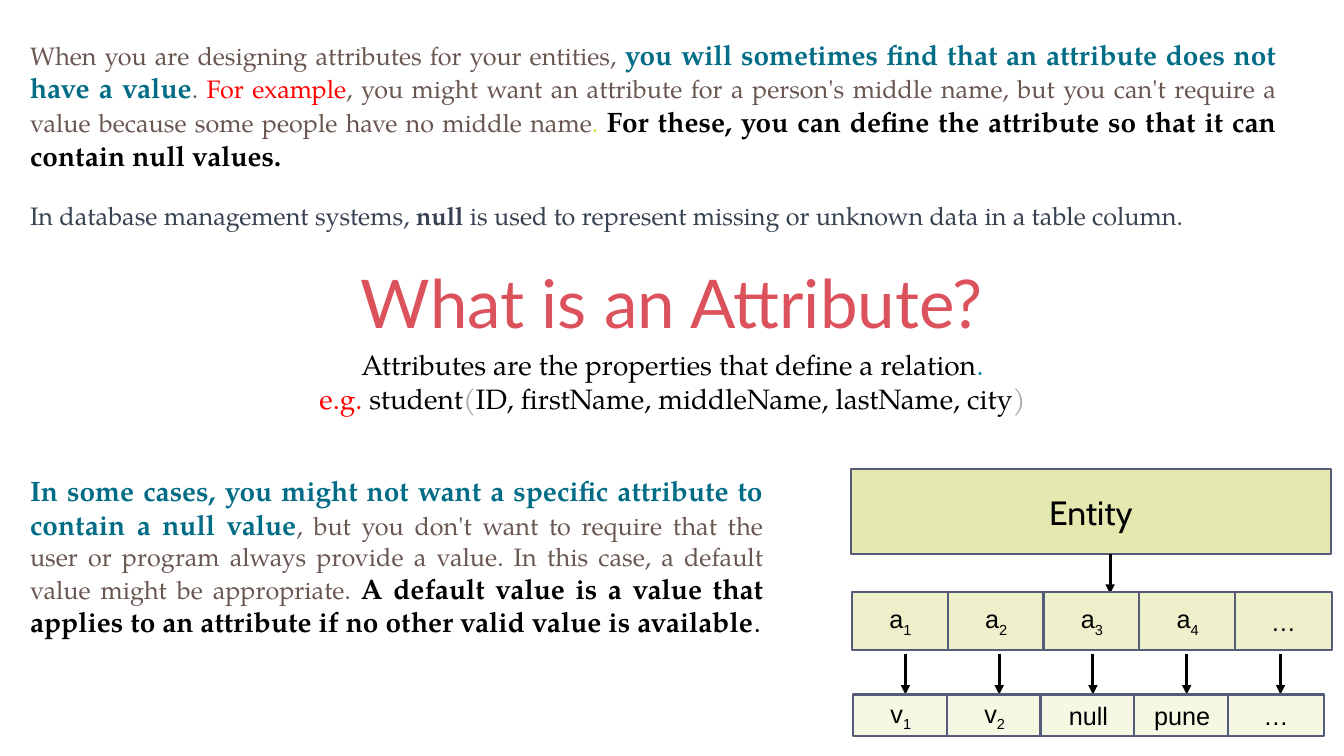
from lxml import etree
from pptx import Presentation
from pptx.dml.color import RGBColor
from pptx.enum.shapes import MSO_CONNECTOR, MSO_SHAPE
from pptx.enum.text import MSO_ANCHOR, MSO_AUTO_SIZE, PP_ALIGN
from pptx.oxml.ns import qn
from pptx.util import Inches, Pt

SERIF = "TeX Gyre Pagella"
BLACK, RED, TEAL, BROWN, SLATE = "000000", "FF0000", "006C86", "6A5650", "374151"
GRAY, OUTLINE = "A6A6A6", "545C79"


def rgb(color):
    return RGBColor.from_string(color)


def add_run(p, text, size, color, font=SERIF, bold=False, italic=False, subscript=False):
    r = p.add_run()
    r.text = text
    f = r.font
    f.name, f.size, f.bold, f.italic = font, Pt(size), bold, italic
    f.color.rgb = rgb(color)
    if subscript:
        r._r.get_or_add_rPr().set("baseline", "-25000")


def add_title(s, box):
    title = s.shapes.title
    title.left, title.top, title.width, title.height = map(Inches, box)
    tf = title.text_frame
    tf.auto_size = MSO_AUTO_SIZE.NONE
    tf.vertical_anchor = MSO_ANCHOR.MIDDLE
    p = tf.paragraphs[0]
    p.alignment = PP_ALIGN.CENTER
    add_run(p, "What is an Attribute?", 48, "DC525C", "Lato")


def add_text(s, box, align, paragraphs):
    """Add a text box; each paragraph is a list of (text, size, color[, style])."""
    tf = s.shapes.add_textbox(*map(Inches, box)).text_frame
    tf.word_wrap = True
    tf.auto_size = MSO_AUTO_SIZE.SHAPE_TO_FIT_TEXT
    for i, runs in enumerate(paragraphs):
        p = tf.add_paragraph() if i else tf.paragraphs[0]
        p.alignment = align
        for text, size, color, *style in runs:
            add_run(p, text, size, color, bold="bold" in style, italic="italic" in style)


def add_cell(shapes, box, fill, label, index="", size=18, font="Arial"):
    sp = shapes.add_shape(MSO_SHAPE.RECTANGLE, *map(Inches, box))
    sp.shadow.inherit = False
    sp.fill.solid()
    sp.fill.fore_color.rgb = rgb(fill)
    sp.line.color.rgb = rgb(OUTLINE)
    sp.line.width = Pt(1.5)
    tf = sp.text_frame
    tf.vertical_anchor = MSO_ANCHOR.MIDDLE
    p = tf.paragraphs[0]
    p.alignment = PP_ALIGN.CENTER
    add_run(p, label, size, BLACK, font)
    if index:
        add_run(p, index, size, BLACK, font, subscript=True)


def add_arrow(shapes, x, top, bottom):
    line = shapes.add_connector(MSO_CONNECTOR.STRAIGHT, *map(Inches, (x, top, x, bottom)))
    line.line.color.rgb = rgb(BLACK)
    line.line.width = Pt(2.25)
    etree.SubElement(line.line._get_or_add_ln(), qn("a:tailEnd"), type="triangle")
    etree.SubElement(line._element.spPr, qn("a:effectLst"))


def add_diagram(s, box):
    """Entity on top, its attributes below, and one value under each attribute."""
    left, top, width, height = box
    shapes = s.shapes.add_group_shape().shapes
    attributes = [("a", "1"), ("a", "2"), ("a", "3"), ("a", "4"), ("…", "")]
    values = [("v", "1"), ("v", "2"), ("null", ""), ("pune", ""), ("…", "")]
    attribute_top, value_top = top + 1.22, top + height - 0.41

    add_cell(shapes, (left, top, width, 0.85), "E4E9AF", "Entity", size=24, font="Cabin")
    add_arrow(shapes, left + 2.57, top + 0.85, attribute_top + 0.02)
    for i, (attribute, value) in enumerate(zip(attributes, values)):
        attribute_left = left + 0.01 + 0.95 * i
        value_left = left + 0.02 + 0.93 * i
        add_cell(shapes, (attribute_left, attribute_top, 0.96, 0.58), "EDF0CA", *attribute)
        add_arrow(shapes, value_left + 0.52, value_top - 0.4, value_top)
        add_cell(shapes, (value_left, value_top, 0.95, 0.41), "F6F8E4", *value)


def add_attribute_slide(prs):
    s = prs.slides.add_slide(prs.slide_layouts[5])
    add_title(s, (1.83, 2.49, 9.67, 1))
    add_text(s, (0.2, 0.32, 12.56, 1.45), PP_ALIGN.JUSTIFY, [[
        ("When you are designing attributes for your entities, ", 18, BROWN),
        ("you will sometimes find that an attribute does not have a value", 20, TEAL, "bold"),
        (". ", 18, BROWN),
        ("For example", 18, RED),
        (", you might want an attribute for a person's middle name, but you can't "
         "require a value because some people have no middle name", 18, BROWN),
        (". ", 18, "D9DD21", "italic"),
        ("For these, you can define the attribute so that it can contain null values.",
         20, BLACK, "bold"),
    ]])
    add_text(s, (0.2, 4.65, 7.47, 1.75), PP_ALIGN.JUSTIFY, [[
        ("In some cases, you might not want a specific attribute to contain a null value",
         20, TEAL, "bold"),
        (", but you don't want to require that the user or program always provide a value. "
         "In this case, a default value might be appropriate. ", 18, BROWN),
        ("A default value is a value that applies to an attribute if no other valid value "
         "is available", 20, BLACK, "bold"),
        (".", 20, BLACK),
    ]])
    add_text(s, (2.85, 3.4, 7.64, 0.77), PP_ALIGN.CENTER, [
        [("Attributes are the properties that define a relation", 20, BLACK),
         (".", 20, "0089A4")],
        [("e.g. ", 20, RED),
         ("student", 20, BLACK),
         ("(", 20, GRAY),
         ("ID, firstName, middleName, lastName, city", 20, BLACK),
         (")", 20, GRAY)],
    ])
    add_text(s, (0.2, 1.94, 12.56, 0.4), PP_ALIGN.LEFT, [[
        ("In database management systems, ", 18, SLATE),
        ("null", 18, SLATE, "bold"),
        (" is used to represent missing or unknown data in a table column.", 18, SLATE),
    ]])
    add_diagram(s, (8.44, 4.65, 4.76, 2.65))


def main():
    prs = Presentation()
    prs.slide_width, prs.slide_height = Inches(13.33), Inches(7.5)
    add_attribute_slide(prs)
    prs.save("out.pptx")


if __name__ == "__main__":
    main()
